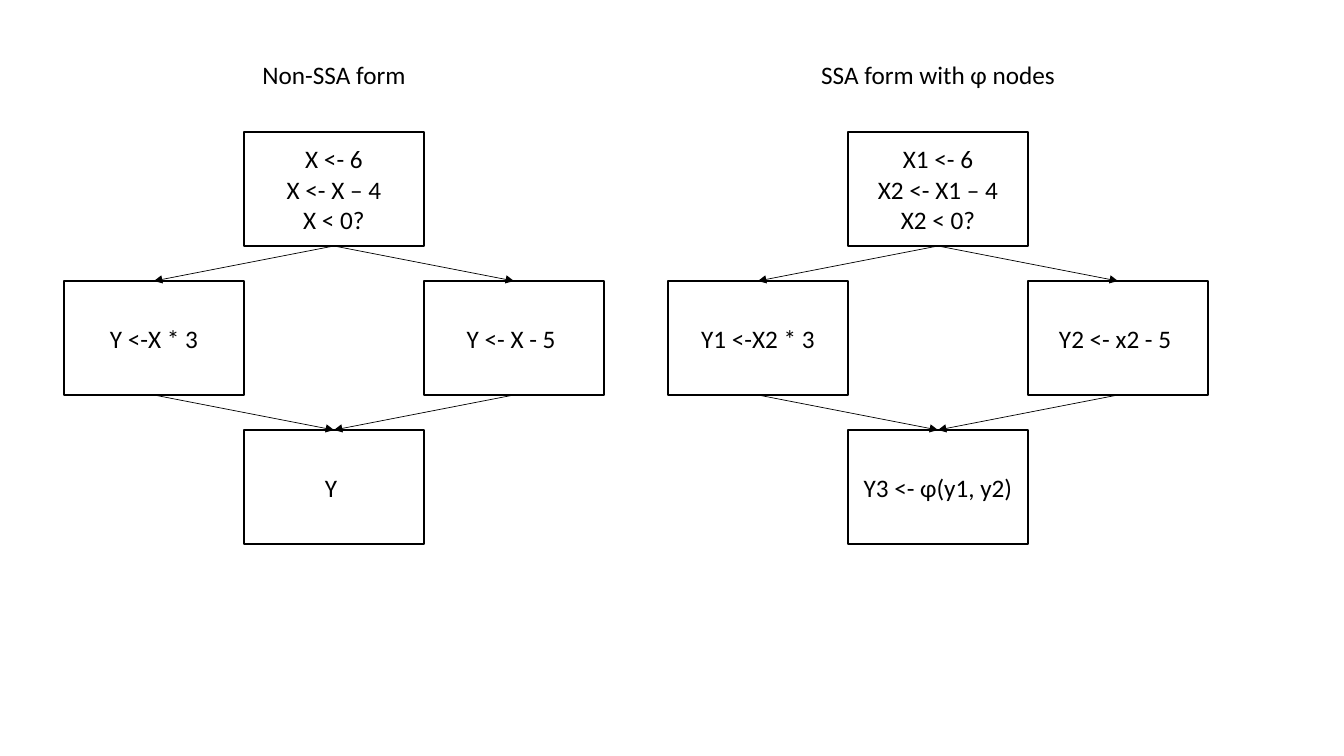
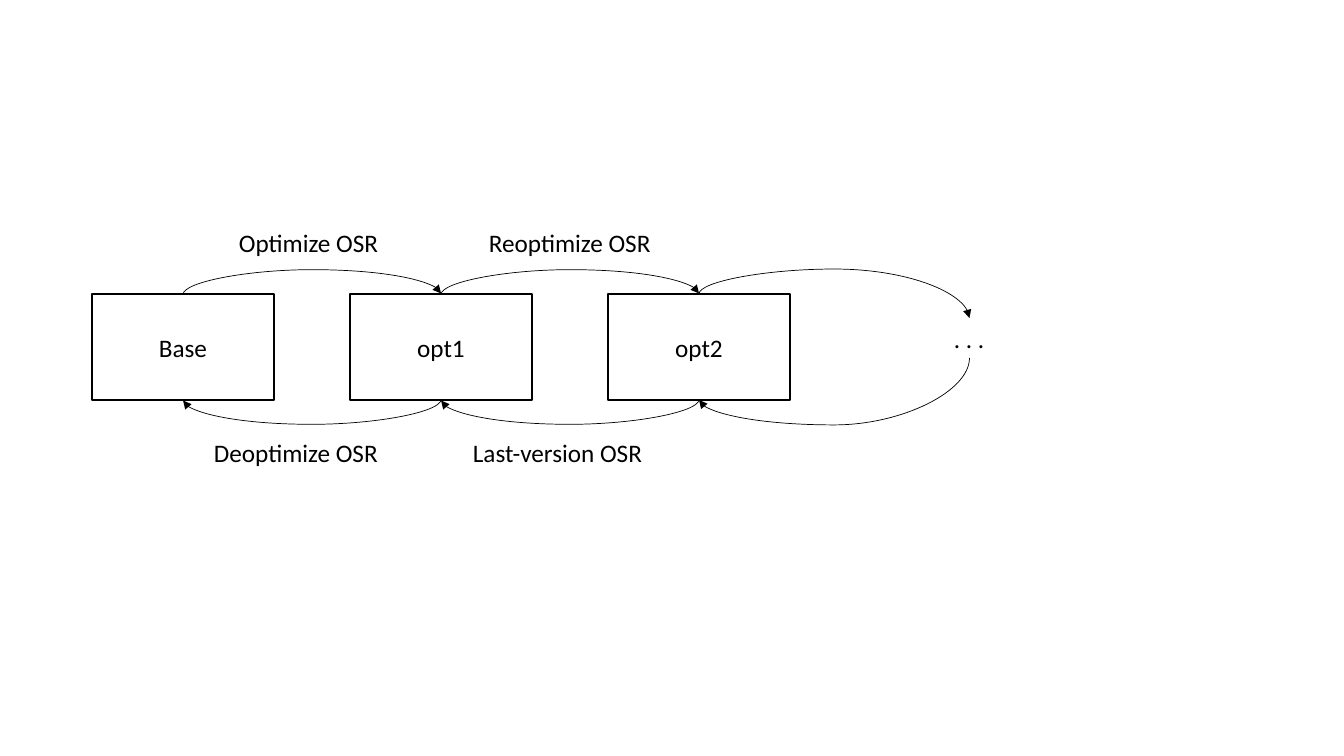
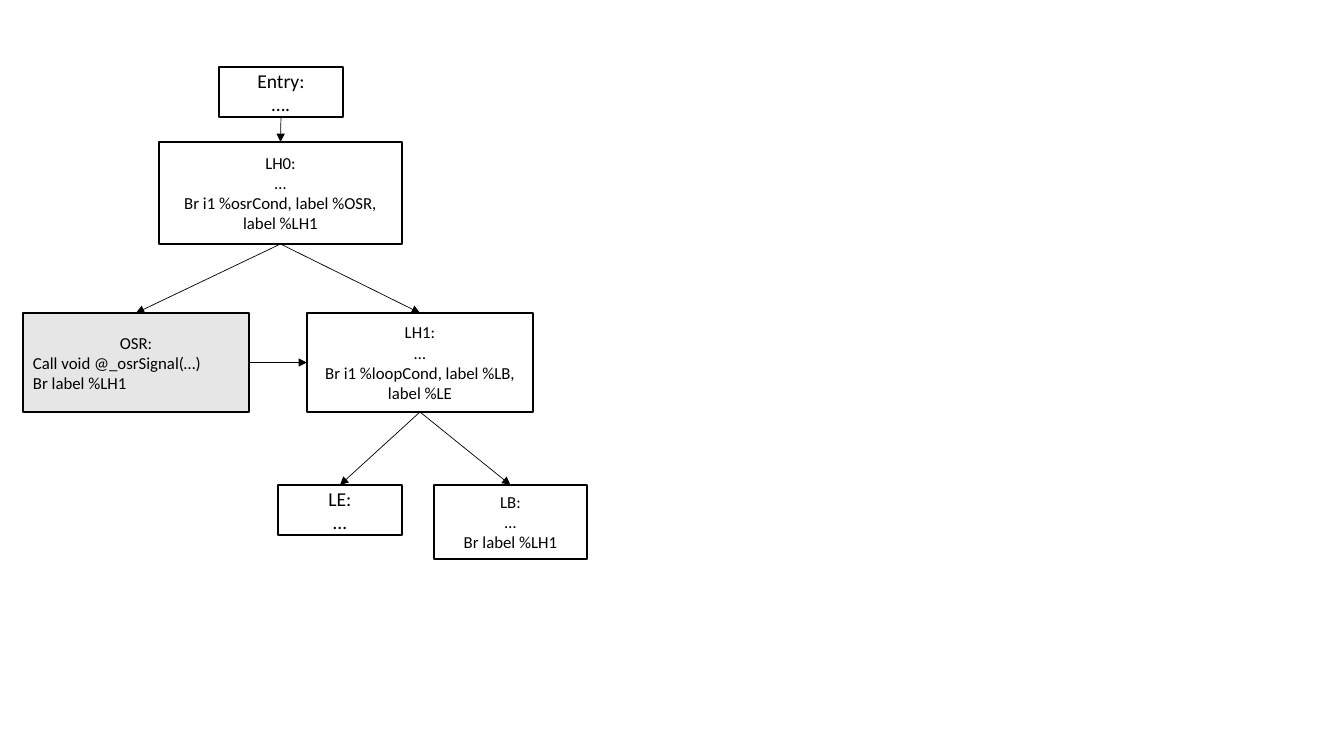
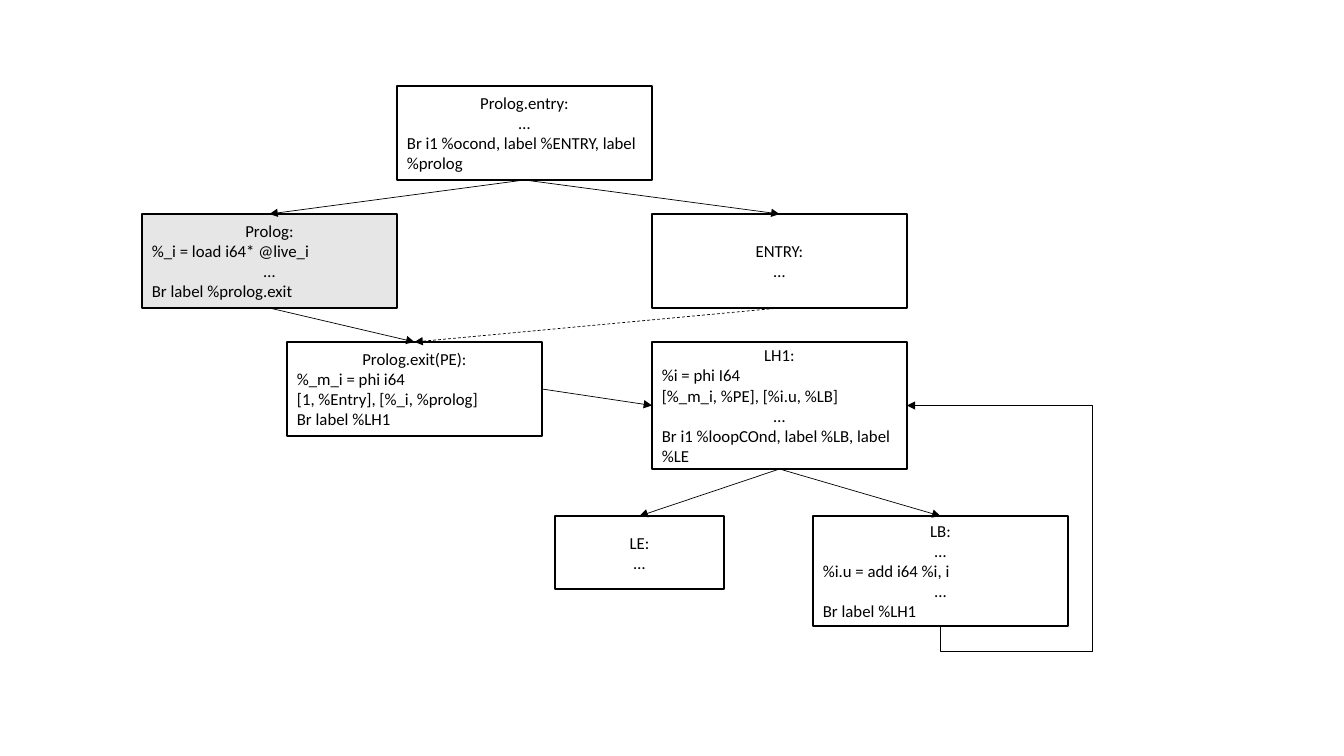
from dataclasses import dataclass

import pptx
import pptx.util
from lxml import etree
from pptx.dml.color import RGBColor
from pptx.enum.dml import MSO_LINE
from pptx.enum.shapes import MSO_CONNECTOR, MSO_SHAPE
from pptx.enum.text import MSO_ANCHOR, PP_ALIGN
from pptx.oxml.ns import qn

EMU_PER_PX = 914400 / 100.8
SLIDE_SIZE = (1344, 756)
FONT = "Calibri"
BLACK = RGBColor(0x00, 0x00, 0x00)
WHITE = RGBColor(0xFF, 0xFF, 0xFF)
GREY = RGBColor(0xE7, 0xE6, 0xE6)
CENTER, LEFT = PP_ALIGN.CENTER, PP_ALIGN.LEFT
TOP_SITE, LEFT_SITE, BOTTOM_SITE, RIGHT_SITE = range(4)


@dataclass
class Block:
    """A framed box; code_align applies to lines that are no label or ellipsis."""
    at: tuple
    lines: list
    size: int = 12
    code_align: PP_ALIGN = CENTER
    fill: RGBColor = WHITE


@dataclass
class Arrow:
    """An arrow between two blocks; via_y and via_x are detours from its start."""
    start: str
    end: str
    start_site: int = BOTTOM_SITE
    end_site: int = TOP_SITE
    dashed: bool = False
    via_y: int = 0
    via_x: int = 0


# Two forms of the same diamond-shaped flow graph
SSA_BOX = (180, 114)
SSA_TOP, SSA_ROW_PITCH = 132, 149
SSA_CELLS = {"top": (1, 0), "left": (0, 1), "right": (2, 1), "bottom": (1, 2)}
SSA_EDGES = [("top", "left"), ("top", "right"), ("left", "bottom"), ("right", "bottom")]
SSA_FORMS = [
    ("Non-SSA form", 64, {
        "top": ["X <- 6", "X <- X – 4", "X < 0?"],
        "left": ["Y <-X * 3"],
        "right": ["Y <- X - 5 "],
        "bottom": ["Y "],
    }),
    ("SSA form with ɸ nodes", 668, {
        "top": ["X1 <- 6", "X2 <- X1 – 4", "X2 < 0?"],
        "left": ["Y1 <-X2 * 3"],
        "right": ["Y2 <- x2 - 5 "],
        "bottom": ["Y3 <- ɸ(y1, y2)"],
    }),
]

# Chain of versions joined by curved transitions
VERSIONS = ["Base", "opt1", "opt2"]
VERSION_LEFT, VERSION_TOP, VERSION_PITCH = 92, 294, 258
VERSION_BOX = (182, 106)
MORE_VERSIONS = (". . .", (944, 318, 51, 40))
BULGE = 25
TRANSITION_LABELS = [
    ("Optimize OSR", (229, 222, 161, 40)),
    ("Deoptimize OSR", (204, 432, 186, 40)),
    ("Reoptimize OSR", (479, 222, 184, 40)),
    ("Last-version OSR", (463, 432, 192, 40)),
]

SIGNAL_BLOCKS = {
    "Entry": Block((219, 67, 124, 50), ["Entry:", "…."], 14),
    "LH0": Block((159, 142, 243, 102),
                 ["LH0:", "…", "Br i1 %osrCond, label %OSR, label %LH1"]),
    "OSR": Block((23, 313, 226, 99),
                 ["OSR:", "Call void @_osrSignal(…)", "Br label %LH1"],
                 code_align=LEFT, fill=GREY),
    "LH1": Block((307, 313, 226, 99),
                 ["LH1:", "…", "Br i1 %loopCond, label %LB, label %LE"]),
    "LE": Block((278, 485, 124, 50), ["LE:", "…"], 14),
    "LB": Block((434, 485, 153, 74), ["LB:", "…", "Br label %LH1"]),
}
SIGNAL_ARROWS = [
    Arrow("Entry", "LH0"),
    Arrow("LH0", "LH1"),
    Arrow("LH0", "OSR"),
    Arrow("OSR", "LH1", RIGHT_SITE, LEFT_SITE),
    Arrow("LH1", "LE"),
    Arrow("LH1", "LB"),
]

PROLOG_BLOCKS = {
    "Prolog.entry": Block(
        (397, 86, 255, 94),
        ["Prolog.entry:", "…", "Br i1 %ocond, label %ENTRY, label %prolog"],
        code_align=LEFT),
    "Prolog": Block(
        (142, 214, 255, 94),
        ["Prolog:", "%_i = load i64* @live_i", "…", "Br label %prolog.exit"],
        code_align=LEFT, fill=GREY),
    "Prolog.exit": Block(
        (287, 342, 255, 94),
        ["Prolog.exit(PE):", "%_m_i = phi i64", "[1, %Entry], [%_i, %prolog]",
         "Br label %LH1"],
        code_align=LEFT),
    "ENTRY": Block((652, 214, 255, 94), ["ENTRY:", "…"]),
    "LH1": Block(
        (652, 342, 255, 127),
        ["LH1:", "%i = phi I64", "[%_m_i, %PE], [%i.u, %LB]", "…",
         "Br i1 %loopCOnd, label %LB, label %LE"],
        code_align=LEFT),
    "LE": Block((555, 516, 169, 73), ["LE:", "…"]),
    "LB": Block(
        (813, 516, 255, 110),
        ["LB:", "…", "%i.u = add i64 %i, i", "...", "Br label %LH1"],
        code_align=LEFT),
}
PROLOG_ARROWS = [
    Arrow("Prolog.entry", "Prolog"),
    Arrow("Prolog.entry", "ENTRY"),
    Arrow("Prolog", "Prolog.exit"),
    Arrow("ENTRY", "Prolog.exit", dashed=True),
    Arrow("Prolog.exit", "LH1", RIGHT_SITE, LEFT_SITE),
    Arrow("LH1", "LE"),
    Arrow("LH1", "LB"),
    Arrow("LB", "LH1", BOTTOM_SITE, RIGHT_SITE, via_y=25, via_x=152),
]


def px(value):
    return pptx.util.Emu(round(value * EMU_PER_PX))


def write_text(shape, lines, size=18, aligns=(LEFT,), anchor=MSO_ANCHOR.TOP, wrap=False):
    frame = shape.text_frame
    frame.word_wrap = wrap
    frame.vertical_anchor = anchor
    for index, line in enumerate(lines):
        paragraph = frame.paragraphs[0] if index == 0 else frame.add_paragraph()
        paragraph.alignment = aligns[index]
        run = paragraph.add_run()
        run.text = line
        run.font.name = FONT
        run.font.size = pptx.util.Pt(size)
        run.font.color.rgb = BLACK


def add_label(slide, text, at, align=LEFT):
    write_text(slide.shapes.add_textbox(*map(px, at)), [text], aligns=(align,))


def add_box(slide, at, fill=WHITE, line=BLACK, line_width=1):
    shape = slide.shapes.add_shape(MSO_SHAPE.RECTANGLE, *map(px, at))
    shape.shadow.inherit = False
    shape.fill.solid()
    shape.fill.fore_color.rgb = fill
    shape.line.color.rgb = line
    shape.line.width = pptx.util.Pt(line_width)
    return shape


def add_block(slide, block):
    shape = add_box(slide, block.at, block.fill)
    aligns = [CENTER if line.endswith(":") or not line.strip("….") else block.code_align
              for line in block.lines]
    write_text(shape, block.lines, block.size, aligns, MSO_ANCHOR.MIDDLE, wrap=True)
    return shape


def site_point(shape, site):
    """Return the middle of one side of a shape, in EMU."""
    across, down = {TOP_SITE: (1, 0), LEFT_SITE: (0, 1),
                    BOTTOM_SITE: (1, 2), RIGHT_SITE: (2, 1)}[site]
    return shape.left + shape.width * across // 2, shape.top + shape.height * down // 2


def route(connector, start, end, via_y, via_x):
    """Make a connector leave vertically, turning at via_y and, if given, via_x."""
    dx, dy = end[0] - start[0], end[1] - start[1]
    if dy == 0:
        dy = px(1) if via_y > 0 else -px(1)
    connector.width, connector.height = abs(dy), abs(dx)
    connector.left = (start[0] + end[0] - abs(dy)) // 2
    connector.top = (start[1] + end[1] - abs(dx)) // 2
    properties = connector.element.spPr
    frame = properties.find(qn("a:xfrm"))
    frame.set("rot", "5400000")
    frame.set("flipH", str(int(dy < 0)))
    frame.set("flipV", str(int(dx > 0)))
    geometry = properties.find(qn("a:prstGeom"))
    ratios = [px(via_y) / dy]
    if via_x:
        geometry.set("prst", "bentConnector4")
        ratios.append(px(via_x) / dx)
    guides = geometry.find(qn("a:avLst"))
    if guides is None:
        guides = etree.SubElement(geometry, qn("a:avLst"))
    for number, ratio in enumerate(ratios, 1):
        etree.SubElement(guides, qn("a:gd"), name=f"adj{number}",
                         fmla=f"val {round(ratio * 100000)}")


def add_arrow(slide, shapes, arrow):
    kind = MSO_CONNECTOR.STRAIGHT
    if arrow.via_y:
        kind = MSO_CONNECTOR.ELBOW if arrow.via_x else MSO_CONNECTOR.CURVE
    start, end = shapes[arrow.start], shapes[arrow.end]
    begin_point = site_point(start, arrow.start_site)
    end_point = site_point(end, arrow.end_site)
    connector = slide.shapes.add_connector(kind, *begin_point, *end_point)
    connector.begin_connect(start, arrow.start_site)
    connector.end_connect(end, arrow.end_site)
    if arrow.via_y:
        route(connector, begin_point, end_point, arrow.via_y, arrow.via_x)
    connector.line.color.rgb = BLACK
    connector.line.width = pptx.util.Pt(0.5)
    if arrow.dashed:
        connector.line.dash_style = MSO_LINE.DASH
    properties = connector.element.spPr
    etree.SubElement(properties.find(qn("a:ln")), qn("a:tailEnd"), type="triangle")
    etree.SubElement(properties, qn("a:effectLst"))


def add_graph(slide, blocks, arrows):
    shapes = {name: add_block(slide, block) for name, block in blocks.items()}
    for arrow in arrows:
        add_arrow(slide, shapes, arrow)


def build_ssa_forms(slide):
    width, height = SSA_BOX
    for title, left, texts in SSA_FORMS:
        blocks = {
            name: Block((left + column * width, SSA_TOP + row * SSA_ROW_PITCH, width, height),
                        texts[name], 18)
            for name, (column, row) in SSA_CELLS.items()
        }
        add_graph(slide, blocks, [Arrow(*edge) for edge in SSA_EDGES])
        add_label(slide, title, (left, 54, 3 * width, 40), CENTER)


def build_version_chain(slide):
    shapes = {
        name: add_block(slide, Block(
            (VERSION_LEFT + index * VERSION_PITCH, VERSION_TOP, *VERSION_BOX), [name], 18))
        for index, name in enumerate(VERSIONS)
    }
    dots, dots_at = MORE_VERSIONS
    shapes[dots] = add_box(slide, dots_at, line=WHITE, line_width=0.75)
    write_text(shapes[dots], [dots])
    chain = VERSIONS + [dots]
    for lower, higher in zip(chain, chain[1:]):
        add_arrow(slide, shapes, Arrow(lower, higher, TOP_SITE, TOP_SITE, via_y=-BULGE))
        lowest = VERSION_TOP + VERSION_BOX[1] + BULGE
        drop = lowest - (dots_at[1] + dots_at[3]) if higher == dots else BULGE
        add_arrow(slide, shapes, Arrow(higher, lower, BOTTOM_SITE, BOTTOM_SITE, via_y=drop))
    for text, at in TRANSITION_LABELS:
        add_label(slide, text, at)


def main():
    presentation = pptx.Presentation()
    presentation.slide_width, presentation.slide_height = map(px, SLIDE_SIZE)
    blank = presentation.slide_layouts[6]
    build_ssa_forms(presentation.slides.add_slide(blank))
    build_version_chain(presentation.slides.add_slide(blank))
    add_graph(presentation.slides.add_slide(blank), SIGNAL_BLOCKS, SIGNAL_ARROWS)
    add_graph(presentation.slides.add_slide(blank), PROLOG_BLOCKS, PROLOG_ARROWS)
    presentation.save("out.pptx")


if __name__ == "__main__":
    main()
